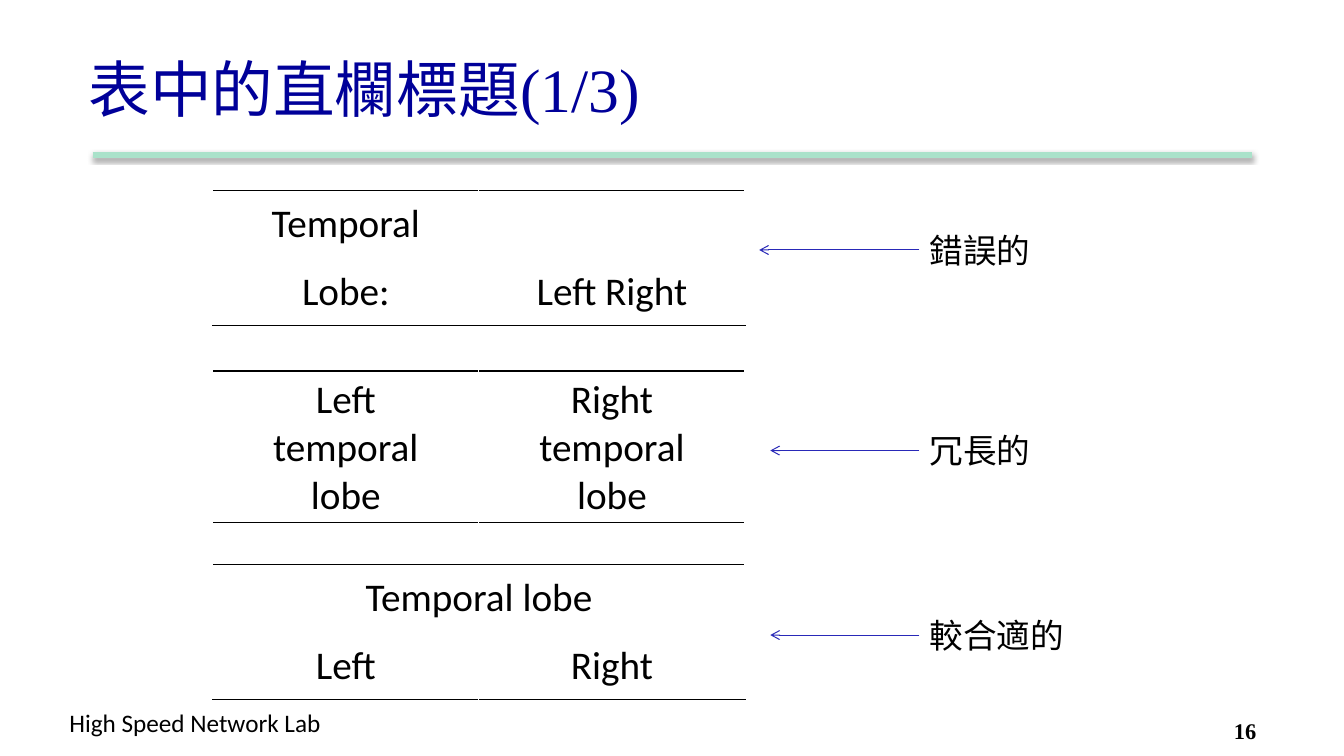
from lxml.etree import SubElement
from pptx import Presentation
from pptx.dml.color import RGBColor
from pptx.enum.shapes import MSO_CONNECTOR
from pptx.enum.text import MSO_ANCHOR, PP_ALIGN
from pptx.oxml import parse_xml
from pptx.oxml.ns import nsdecls, qn
from pptx.util import Inches, Pt

COLORS = {"ink": "000000", "title": "000099", "rule": "AAE2CA", "arrow": "2929B8"}
HAN = "Noto Sans CJK SC"
LEFT, COL, ROW = 2.11, 2.64, 0.67


def rgb(name):
    return RGBColor.from_string(COLORS[name])


def put_text(frame, text, size, font="Calibri", color="ink", bold=False,
             align=PP_ALIGN.LEFT, anchor=MSO_ANCHOR.TOP, wrap=True):
    frame.word_wrap = wrap
    frame.vertical_anchor = anchor
    para = frame.paragraphs[0]
    para.text = text
    para.alignment = align
    for run in para.runs:
        run.font.size = Pt(size)
        run.font.name = font
        run.font.bold = bold
        run.font.color.rgb = rgb(color)
        SubElement(run.font._element, qn("a:ea"), typeface=HAN)


def add_label(slide, box, text, size, **style):
    shape = slide.shapes.add_textbox(*map(Inches, box))
    put_text(shape.text_frame, text, size, **style)


def add_line(slide, start, end, color, width, arrow=False, shadow=False):
    line = slide.shapes.add_connector(
        MSO_CONNECTOR.STRAIGHT, *map(Inches, (*start, *end)))
    line.line.color.rgb = rgb(color)
    line.line.width = Pt(width)
    if arrow:
        SubElement(line.line._get_or_add_ln(), qn("a:tailEnd"), type="arrow")
    effects = SubElement(line._element.spPr, qn("a:effectLst"))
    if shadow:
        cast = SubElement(effects, qn("a:outerShdw"), blurRad=str(Pt(3.1)),
                          dist=str(Pt(1.6)), dir="5400000", rotWithShape="0")
        tint = SubElement(cast, qn("a:srgbClr"), val=COLORS["ink"])
        SubElement(tint, qn("a:alpha"), val="38000")


def add_edge(cell, side):
    """Rule one side of a cell: T for top, B for bottom."""
    edge = parse_xml(
        f'<a:ln{side} {nsdecls("a")} w="{Pt(1)}"><a:solidFill>'
        f'<a:srgbClr val="{COLORS["ink"]}"/></a:solidFill></a:ln{side}>')
    cell._tc.get_or_add_tcPr().insert(0, edge)


def add_grid(slide, top, height, rows, merge=False):
    """Add a two-column table ruled only above and below."""
    count = len(rows)
    table = slide.shapes.add_table(
        count, 2, Inches(LEFT), Inches(top), Inches(2 * COL),
        Inches(height * count)).table
    table.first_row = table.horz_banding = False
    for col in table.columns:
        col.width = Inches(COL)
    for r, texts in enumerate(rows):
        table.rows[r].height = Inches(height)
        for c, text in enumerate(texts):
            cell = table.cell(r, c)
            cell.fill.background()
            cell.vertical_anchor = MSO_ANCHOR.MIDDLE
            if text:
                put_text(cell.text_frame, text, 28, align=PP_ALIGN.CENTER,
                         anchor=None, wrap=None)
            if r == count - 1:
                add_edge(cell, "B")
            if r == 0:
                add_edge(cell, "T")
    if merge:
        table.cell(0, 0).merge(table.cell(0, 1))


def add_note(slide, text, mid, tip, width):
    """Add a verdict with an arrow pointing back to its table."""
    add_label(slide, (9.12, mid - 0.25, width, 0.5), text, 24, font=HAN, wrap=False)
    add_line(slide, (9.12, mid), (tip, mid), "arrow", 0.75, arrow=True)


def main():
    deck = Presentation()
    deck.slide_width, deck.slide_height = Inches(13.33), Inches(7.5)
    slide = deck.slides.add_slide(deck.slide_layouts[6])

    add_line(slide, (0.92, 1.54), (12.42, 1.54), "rule", 4.5, shadow=True)
    add_label(slide, (0.59, 6.97, 2.79, 0.4), "High Speed Network Lab", 18, wrap=False)
    add_label(slide, (0.78, 0.25, 11.33, 1.25), "表中的直欄標題(1/3)", 44,
              font="Times New Roman", color="title", anchor=MSO_ANCHOR.MIDDLE)

    add_grid(slide, 1.89, ROW, [("Temporal", ""), ("Lobe:", "Left Right")])
    add_grid(slide, 3.68, 1.5, [("Left\vtemporal\vlobe", "Right\vtemporal\vlobe")])
    add_grid(slide, 5.6, ROW, [("Temporal lobe", ""), ("Left", "Right")], merge=True)

    for note in (("錯誤的", 2.48, 7.53, 1.21),
                 ("冗長的", 4.47, 7.64, 1.21),
                 ("較合適的", 6.3, 7.64, 1.55)):
        add_note(slide, *note)
    add_label(slide, (12.14, 7.07, 0.99, 0.3), "16", 16,
              font="Times New Roman", bold=True)
    deck.save("out.pptx")


if __name__ == "__main__":
    main()
